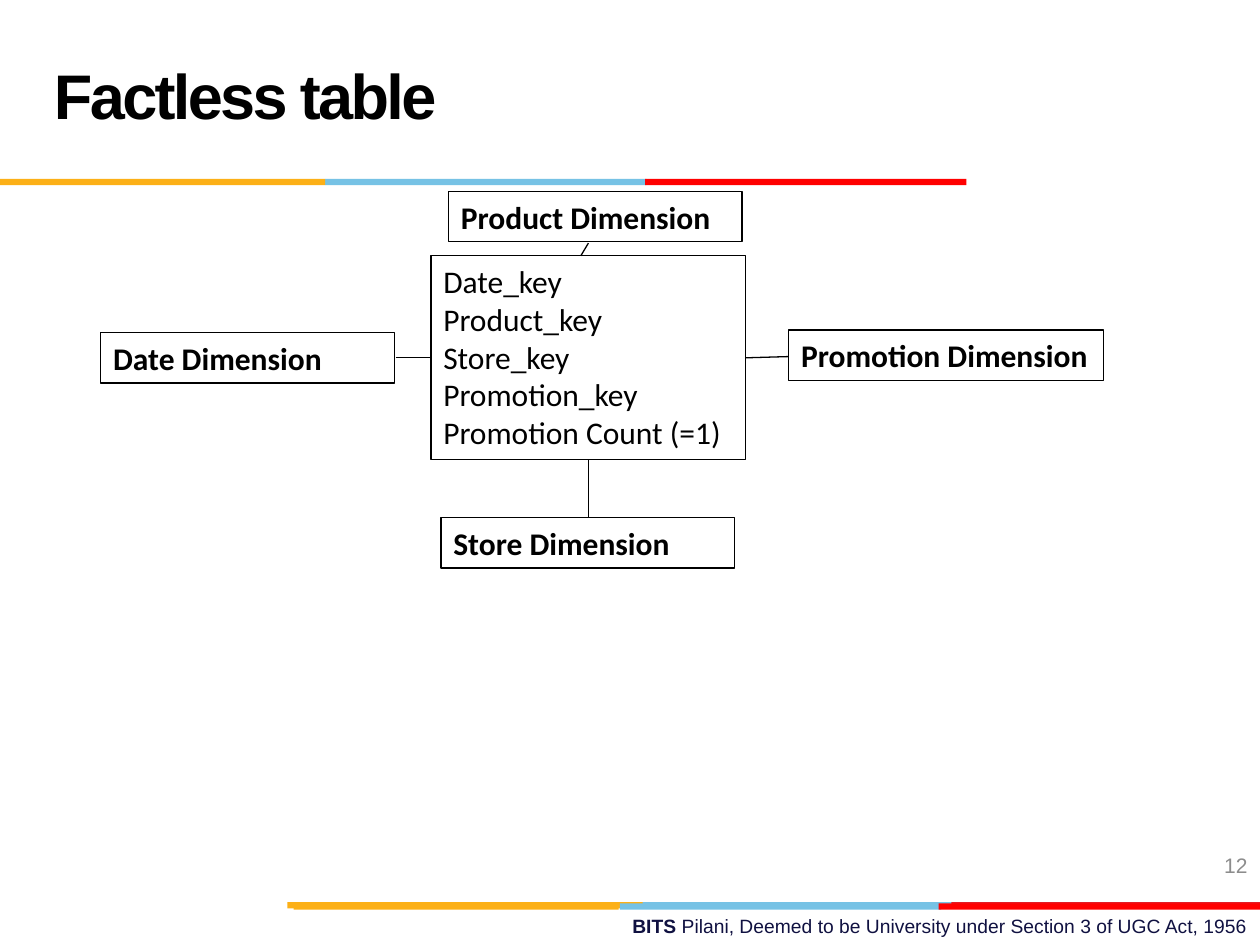
from lxml import etree
from pptx import Presentation
from pptx.dml.color import RGBColor
from pptx.enum import shapes, text
from pptx.oxml import ns
from pptx.util import Inches, Pt


def color(code):
    return RGBColor.from_string(code)


def write(shape, words, size, face, code, bold=False, align=text.PP_ALIGN.LEFT):
    frame = shape.text_frame
    frame.word_wrap = True
    frame.text = words
    for para in frame.paragraphs:
        para.alignment = align
        for run in para.runs:
            run.font.size = Pt(size)
            run.font.name = face
            run.font.bold = bold
            run.font.color.rgb = color(code)
    return frame


deck = Presentation()
deck.slide_width = Inches(10)
deck.slide_height = Inches(7.5)
slide = deck.slides.add_slide(deck.slide_layouts[6])
items = slide.shapes

gold, blue, crimson, red = "FCB017", "76C2E5", "E31C24", "FF0000"
bars = [
    (5.06, 7.16, 2.55, blue),
    (7.55, 7.16, 2.45, crimson),
    (2.28, 7.16, 2.82, gold),
    (4.92, 7.17, 2.55, blue),
    (2.33, 7.17, 2.58, gold),
    (7.45, 7.17, 2.55, red),
    (2.58, 1.42, 2.55, blue),
    (0, 1.42, 2.58, gold),
    (5.12, 1.42, 2.55, red),
]
for left, top, width, code in bars:
    bar = items.add_shape(shapes.MSO_SHAPE.RECTANGLE, Inches(left), Inches(top), Inches(width), Inches(0.05))
    bar.shadow.inherit = False
    bar.fill.solid()
    bar.fill.fore_color.rgb = color(code)
    bar.line.fill.background()

right = text.PP_ALIGN.RIGHT
footer = items.add_textbox(Inches(3.58), Inches(7.21), Inches(6.42), Inches(0.29))
frame = write(footer, "BITS ", 11, "Arial", "101141", True, right)
rest = frame.paragraphs[0].add_run()
rest.text = "Pilani, Deemed to be University under Section 3 of UGC Act, 1956"
rest.font.size = Pt(11)
rest.font.name = "Arial"
rest.font.bold = False
rest.font.color.rgb = color("101141")

title = items.add_textbox(Inches(0.33), Inches(0.17), Inches(6.92), Inches(1.25))
frame = write(title, "Factless table", 36, "Arial", "000000", True)
frame.vertical_anchor = text.MSO_ANCHOR.MIDDLE
head = frame.paragraphs[0]
head.line_spacing = Pt(36)
head.runs[0].font._element.set("spc", "-150")

number = items.add_textbox(Inches(7.67), Inches(6.67), Inches(2.33), Inches(0.4))
frame = write(number, "12", 12, "Arial", "8C8C8C", align=right)
frame.vertical_anchor = text.MSO_ANCHOR.MIDDLE

keys = "Date_key\nProduct_key\nStore_key\nPromotion_key\nPromotion Count (=1)"
boxes = [
    ("Date Dimension", 0.8, 2.64, 2.33, 0.4, True),
    (keys, 3.42, 2.03, 2.5, 1.62, False),
    ("Store Dimension", 3.5, 4.11, 2.33, 0.4, True),
    ("Promotion Dimension", 6.26, 2.62, 2.5, 0.4, True),
    ("Product Dimension", 3.56, 1.52, 2.33, 0.4, True),
]
for words, left, top, width, height, bold in boxes:
    box = items.add_shape(shapes.MSO_SHAPE.RECTANGLE, Inches(left), Inches(top), Inches(width), Inches(height))
    box.shadow.inherit = False
    box.fill.background()
    box.line.color.rgb = color("000000")
    box.line.width = Pt(0.75)
    frame = write(box, words, 18, "Calibri", "000000", bold)
    frame.vertical_anchor = text.MSO_ANCHOR.TOP
    frame.auto_size = text.MSO_AUTO_SIZE.SHAPE_TO_FIT_TEXT

links = [
    (3.14, 2.84, 3.42, 2.84),
    (4.67, 3.65, 4.67, 4.11),
    (5.92, 2.84, 6.26, 2.83),
    (4.67, 1.93, 4.61, 2.03),
]
for ends in links:
    link = items.add_connector(shapes.MSO_CONNECTOR.STRAIGHT, *map(Inches, ends))
    link.line.color.rgb = color("000000")
    link.line.width = Pt(0.75)
    etree.SubElement(link._element.spPr, ns.qn("a:effectLst"))

deck.save("out.pptx")
